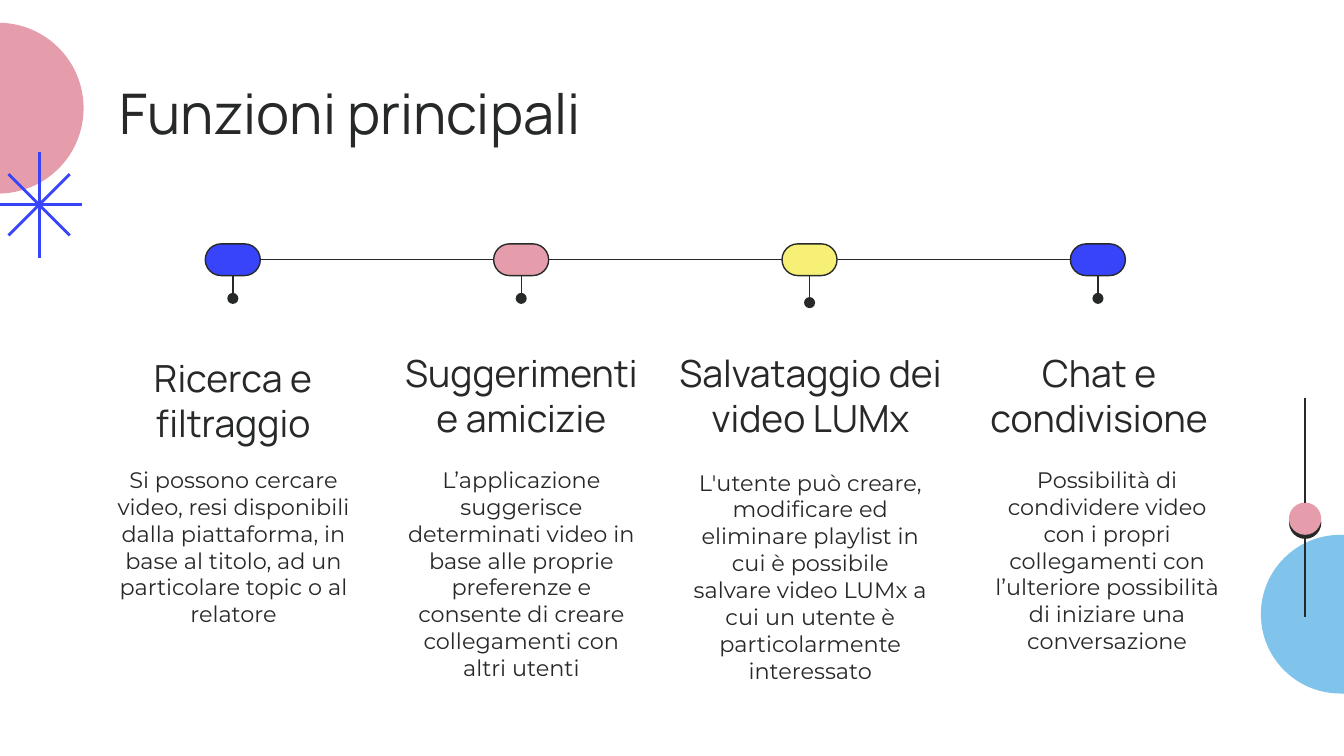
import pptx
import pptx.util
import pptx.dml.color
import pptx.enum.shapes
import pptx.enum.text
import pptx.oxml
import pptx.oxml.ns
from pptx.util import Cm

COLORS = {
    "ink": "262928",
    "pink": "E59CAB",
    "sky": "80C3EB",
    "blue": "3844F9",
    "yellow": "F7F077",
}
SHAPES = pptx.enum.shapes.MSO_SHAPE
ALIGN = pptx.enum.text.PP_ALIGN
ANCHOR = pptx.enum.text.MSO_ANCHOR
NAMESPACE = pptx.oxml.ns.nsdecls("a")


def color(name):
    return pptx.dml.color.RGBColor.from_string(COLORS[name])


class SlideBuilder:
    heading_font = "Manrope"
    body_font = "Montserrat"
    inset = Cm(0.25)

    def __init__(self, slide):
        self.slide = slide

    def shape(self, kind, left, top, width, height, fill, outlined=False):
        shape = self.slide.shapes.add_shape(kind, Cm(left), Cm(top), Cm(width), Cm(height))
        shape.shadow.inherit = False
        shape.fill.solid()
        shape.fill.fore_color.rgb = color(fill)
        if kind == SHAPES.ROUNDED_RECTANGLE:
            shape.adjustments[0] = 0.5
        if outlined:
            shape.line.color.rgb = color("ink")
            shape.line.width = pptx.util.Pt(0.75)
        else:
            shape.line.fill.background()
        return shape

    def line(self, x1, y1, x2, y2, name="ink", width=0.75, oval_end=False):
        connector = self.slide.shapes.add_connector(
            pptx.enum.shapes.MSO_CONNECTOR.STRAIGHT, Cm(x1), Cm(y1), Cm(x2), Cm(y2))
        connector.line.color.rgb = color(name)
        connector.line.width = pptx.util.Pt(width)
        if oval_end:
            connector.line._get_or_add_ln().append(
                pptx.oxml.parse_xml(f'<a:tailEnd {NAMESPACE} type="oval"/>'))
        connector._element.spPr.append(pptx.oxml.parse_xml(f"<a:effectLst {NAMESPACE}/>"))
        return connector

    def text(self, words, left, top, width, height, size, font,
             align=ALIGN.CENTER, anchor=ANCHOR.TOP):
        box = self.slide.shapes.add_textbox(Cm(left), Cm(top), Cm(width), Cm(height))
        frame = box.text_frame
        frame.word_wrap = True
        frame.vertical_anchor = anchor
        frame.margin_left = frame.margin_right = self.inset
        frame.margin_top = frame.margin_bottom = self.inset
        frame.text = words
        paragraph = frame.paragraphs[0]
        paragraph.alignment = align
        for run in paragraph.runs:
            run.font.name = font
            run.font.size = pptx.util.Pt(size)
            run.font.color.rgb = color("ink")

    def hard_shadow(self, shape):
        effects = shape._element.spPr.find(pptx.oxml.ns.qn("a:effectLst"))
        effects.append(pptx.oxml.parse_xml(
            f'<a:outerShdw {NAMESPACE} blurRad="0" dist="28000" dir="5280000" '
            f'algn="bl" rotWithShape="0"><a:srgbClr val="{COLORS["ink"]}"/></a:outerShdw>'))


def main():
    presentation = pptx.Presentation()
    presentation.slide_width = Cm(25.4)
    presentation.slide_height = Cm(14.29)
    builder = SlideBuilder(presentation.slides.add_slide(presentation.slide_layouts[6]))

    # Corner circle and the large rounded form at the right edge
    builder.shape(SHAPES.OVAL, -1.65, 0.43, 3.23, 3.23, "pink")
    builder.shape(SHAPES.ROUNDED_RECTANGLE, 23.83, 10.11, 6.55, 3, "sky")

    # Star: four strokes through one centre
    star_x, star_y = 0.74, 3.87
    for reach_x, reach_y in [(0, 1), (0.81, 0), (0.58, 0.58), (0.58, -0.58)]:
        builder.line(star_x + reach_x, star_y + reach_y,
                     star_x - reach_x, star_y - reach_y, "blue", 1.5)

    # Ball on a vertical line
    ball = builder.shape(SHAPES.OVAL, 24.36, 9.5, 0.61, 0.61, "pink")
    builder.hard_shadow(ball)
    for start, end in [(10.11, 11.66), (9.5, 7.52)]:
        builder.line(24.66, start, 24.66, end)

    # Title
    builder.text("Funzioni principali", 2.01, 1.24, 21.41, 1.6, 30,
                 builder.heading_font, ALIGN.LEFT)

    # Timeline: pill colour, stem end, heading and description with their boxes
    steps = [
        ("blue", 5.64, "Ricerca e filtraggio", (1.47, 6.32, 5.87, 2.34),
         "Si possono cercare video, resi disponibili dalla piattaforma, in base al "
         "titolo, ad un particolare topic o al relatore", (1.9, 8.56, 5.03, 3.58)),
        ("pink", 5.64, "Suggerimenti e amicizie", (7.34, 6.32, 5.03, 2.24),
         "L’applicazione suggerisce determinati video in base alle proprie preferenze "
         "e consente di creare collegamenti con altri utenti", (7.34, 8.56, 5.03, 4.5)),
        ("yellow", 5.72, "Salvataggio dei video LUMx", (12.17, 6.32, 6.3, 2.24),
         "L'utente può creare, modificare ed eliminare playlist in cui è possibile "
         "salvare video LUMx a cui un utente è particolarmente interessato",
         (12.8, 8.61, 5.03, 4.7)),
        ("blue", 5.64, "Chat e condivisione", (18.26, 6.32, 5.03, 2.24),
         "Possibilità di condividere video con i propri collegamenti con l’ulteriore "
         "possibilità di iniziare una conversazione", (18.36, 8.56, 5.13, 3.94)),
    ]
    pill_left, pill_top, pill_width, pill_height, pitch = 3.88, 4.61, 1.04, 0.6, 5.45
    middle = pill_top + pill_height / 2
    previous = None
    for index, (fill, stem_end, heading, heading_box, body, body_box) in enumerate(steps):
        left = pill_left + index * pitch
        center = left + pill_width / 2
        pill = builder.shape(SHAPES.ROUNDED_RECTANGLE, left, pill_top,
                             pill_width, pill_height, fill, outlined=True)
        if previous is not None:
            link = builder.line(left - pitch + pill_width, middle, left, middle)
            link.begin_connect(previous, 3)
            link.end_connect(pill, 1)
        stem = builder.line(center, pill_top + pill_height, center, stem_end, oval_end=True)
        stem.begin_connect(pill, 2)
        builder.text(heading, *heading_box, 20, builder.heading_font, anchor=ANCHOR.BOTTOM)
        builder.text(body, *body_box, 12, builder.body_font)
        previous = pill

    presentation.save("out.pptx")


if __name__ == "__main__":
    main()
